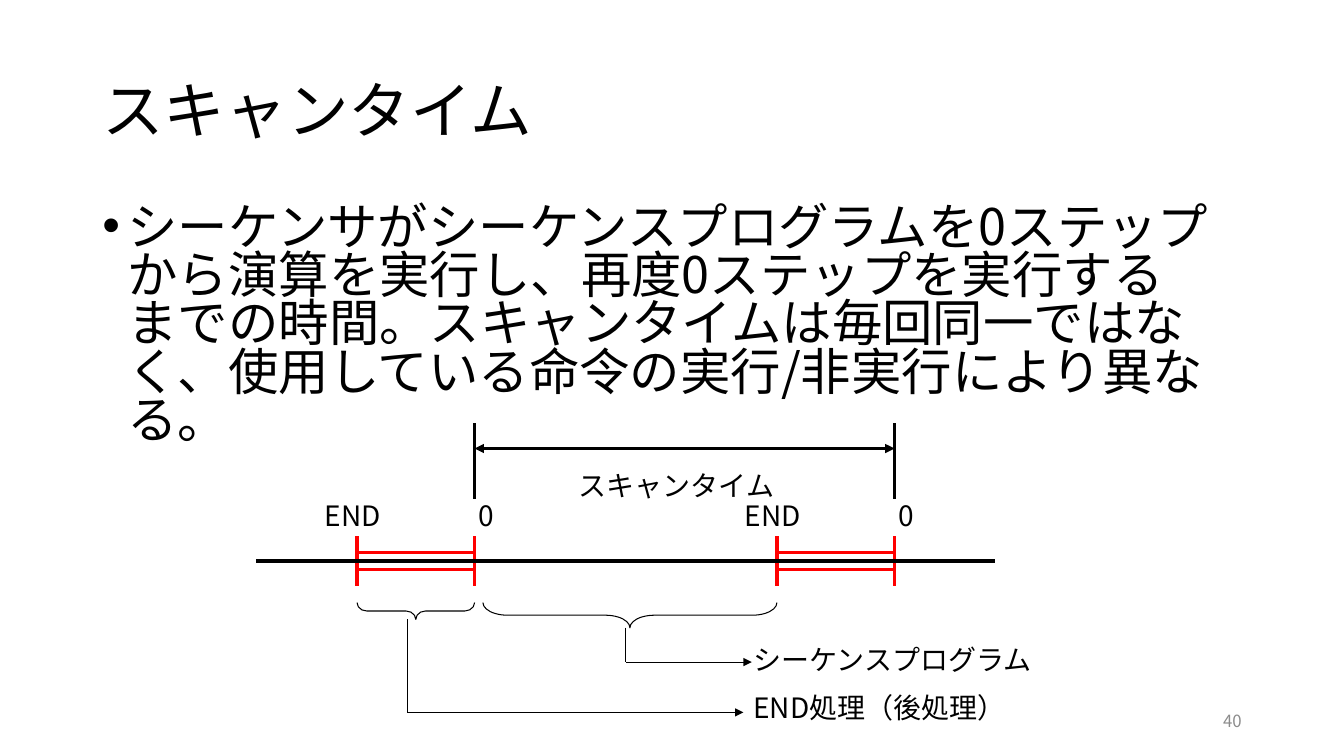
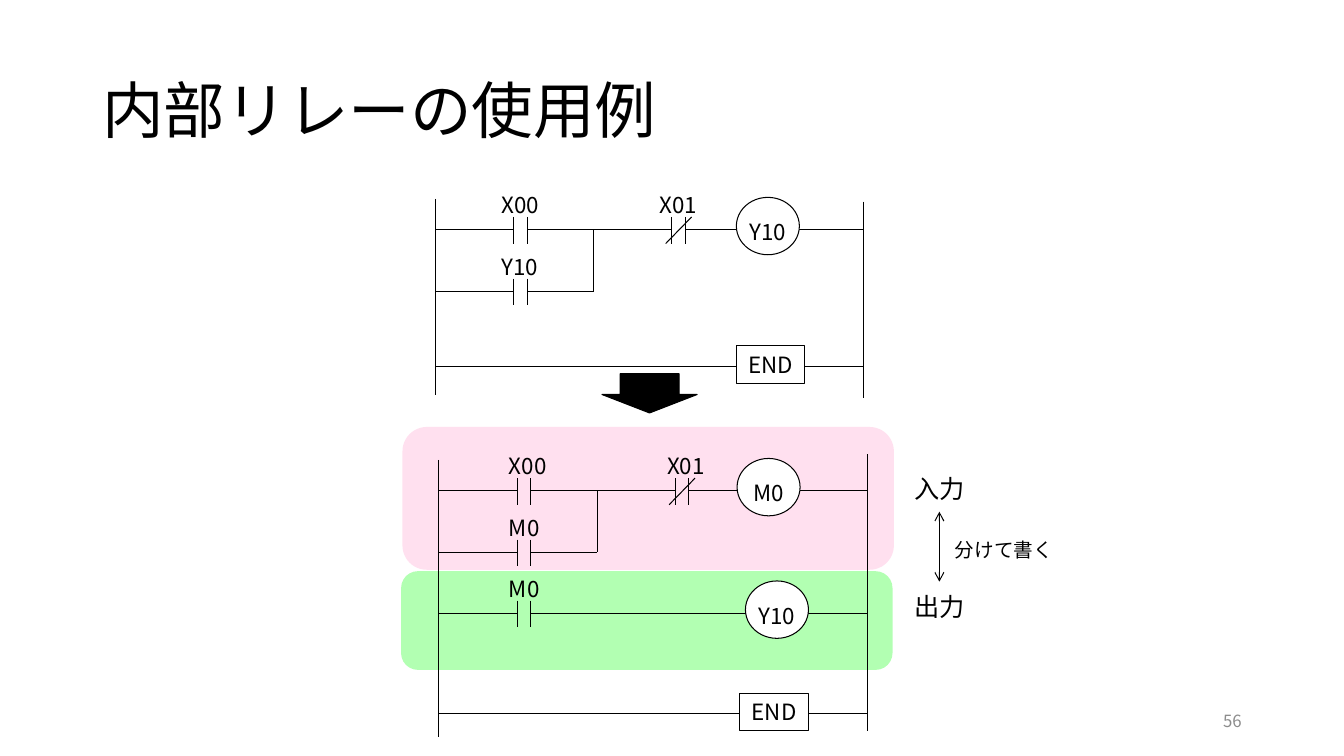
from lxml import etree
from pptx import Presentation
from pptx.dml.color import RGBColor
from pptx.enum.shapes import MSO_CONNECTOR, MSO_SHAPE
from pptx.enum.text import MSO_ANCHOR, PP_ALIGN
from pptx.oxml.ns import qn
from pptx.util import Pt

STRAIGHT = MSO_CONNECTOR.STRAIGHT
BRACE, OVAL, RECTANGLE = MSO_SHAPE.LEFT_BRACE, MSO_SHAPE.OVAL, MSO_SHAPE.RECTANGLE
ROUNDED, DOWN_ARROW = MSO_SHAPE.ROUNDED_RECTANGLE, MSO_SHAPE.DOWN_ARROW
TOP, MIDDLE = MSO_ANCHOR.TOP, MSO_ANCHOR.MIDDLE
LEFT, CENTER, RIGHT = PP_ALIGN.LEFT, PP_ALIGN.CENTER, PP_ALIGN.RIGHT

FONT = "Noto Sans CJK JP"
BLACK = RGBColor(0x00, 0x00, 0x00)
WHITE = RGBColor(0xFF, 0xFF, 0xFF)
RED = RGBColor(0xFF, 0x00, 0x00)
GRAY = RGBColor(0x8C, 0x8C, 0x8C)
PINK = RGBColor(0xFF, 0x99, 0xCC)
GREEN = RGBColor(0x00, 0xFF, 0x00)
THIN, MEDIUM, THICK = 0.75, 2.25, 3

# Ladder columns, measured from the left rail
CONTACT_X, JOIN_X, CLOSED_X, RAIL_X = 56, 113, 169, 306
CONTACT_GAP = 9.5


# Shared helpers
def write(paragraph, text, size, color=BLACK, align=LEFT):
    paragraph.alignment = align
    run = paragraph.add_run()
    run.text = text
    run.font.name = FONT
    run.font.size = Pt(size)
    run.font.color.rgb = color
    east_asian = etree.SubElement(run.font._element, qn("a:ea"))
    east_asian.set("typeface", FONT)


def add_text(slide, box, lines, size, color=BLACK, align=LEFT, anchor=TOP,
             gap=0, wrap=True):
    frame = slide.shapes.add_textbox(*map(Pt, box)).text_frame
    frame.word_wrap = wrap
    frame.vertical_anchor = anchor
    for index, line in enumerate(lines):
        paragraph = frame.add_paragraph() if index else frame.paragraphs[0]
        paragraph.space_before = Pt(gap if index else 0)
        write(paragraph, line, size, color, align)
    return frame


def add_line(slide, x1, y1, x2, y2, color=BLACK, width=THIN, head=None, tail=None):
    connector = slide.shapes.add_connector(STRAIGHT, Pt(x1), Pt(y1), Pt(x2), Pt(y2))
    connector.line.color.rgb = color
    connector.line.width = Pt(width)
    for tag, kind in (("a:headEnd", head), ("a:tailEnd", tail)):
        if kind:
            etree.SubElement(connector.line._get_or_add_ln(), qn(tag)).set("type", kind)
    etree.SubElement(connector._element.spPr, qn("a:effectLst"))


def add_shape(slide, kind, box, fill=None, outline=BLACK, opacity=None, adjustments=()):
    shape = slide.shapes.add_shape(kind, *map(Pt, box))
    shape.shadow.inherit = False
    if fill is None:
        shape.fill.background()
    else:
        shape.fill.solid()
        shape.fill.fore_color.rgb = fill
    if opacity is not None:
        color = shape._element.spPr.find(qn("a:solidFill"))[0]
        etree.SubElement(color, qn("a:alpha")).set("val", str(opacity * 1000))
    if outline is None:
        shape.line.fill.background()
    else:
        shape.line.color.rgb = outline
        shape.line.width = Pt(THIN)
    for index, value in enumerate(adjustments):
        shape.adjustments[index] = value
    return shape


def add_labelled_shape(slide, kind, box, label, top_inset=0):
    frame = add_shape(slide, kind, box, WHITE).text_frame
    frame.word_wrap = False
    frame.vertical_anchor = MIDDLE
    frame.margin_left = frame.margin_right = frame.margin_bottom = 0
    frame.margin_top = Pt(top_inset)
    write(frame.paragraphs[0], label, 16, align=CENTER)


def add_titled_slide(presentation, title, number):
    slide = presentation.slides.add_slide(presentation.slide_layouts[6])
    frame = add_text(slide, (66, 29, 828, 104), [title], 44, anchor=MIDDLE)
    frame.paragraphs[0].line_spacing = 0.9
    add_text(slide, (678, 500, 216, 29), [number], 12, GRAY, RIGHT, MIDDLE)
    return slide


# Scan time slide
def add_bullet(slide, box, text):
    paragraph = add_text(slide, box, [text], 36).paragraphs[0]
    paragraph.line_spacing = 0.8
    properties = paragraph._p.get_or_add_pPr()
    properties.set("marL", str(Pt(18)))
    properties.set("indent", str(-Pt(18)))
    etree.SubElement(properties, qn("a:buFont")).set("typeface", "Arial")
    etree.SubElement(properties, qn("a:buChar")).set("char", "•")


def add_brace(slide, left, top, width, height, curve):
    # The brace is drawn upright and turned about its centre
    box = (left + (width - height) / 2, top + (height - width) / 2, height, width)
    add_shape(slide, BRACE, box, adjustments=(curve, 0.5)).rotation = 270


def add_leader(slide, x, top, bottom, end):
    add_line(slide, x, top, x, bottom)
    add_line(slide, x, bottom, end, bottom, tail="triangle")


def add_end_processing(slide, start, top):
    zero = start + 84
    for x in (start, zero):
        add_line(slide, x, top + 80.5, x, top + 116.5, RED, MEDIUM)
    for y in (top + 92, top + 104.5):
        add_line(slide, start, y, zero, y, RED, MEDIUM)
    # Dimension boundary above step 0
    add_line(slide, zero, top, zero, top + 54, width=MEDIUM)
    add_text(slide, (start - 30, top + 50, 70, 31), ["END"], 20)
    add_text(slide, (zero - 4, top + 50, 40, 31), ["0"], 20)


def add_timeline(slide, left, top):
    first_end, cycle = left + 72, 300
    zero = first_end + 84
    for start in (first_end, first_end + cycle):
        add_end_processing(slide, start, top)
    add_line(slide, left, top + 98.6, left + 528, top + 98.6, width=THICK)
    add_line(slide, zero, top + 18, zero + cycle, top + 18, width=MEDIUM,
             head="triangle", tail="triangle")
    add_text(slide, (left + 223, top + 29, 190, 31), ["スキャンタイム"], 20)
    # Braces and leaders to their names
    add_brace(slide, first_end, top + 128, 84, 12, 0.58)
    add_brace(slide, zero + 6, top + 128, 210, 18, 0.97)
    add_leader(slide, left + 264, top + 146, top + 170.5, left + 354)
    add_leader(slide, left + 108, top + 140, top + 206.5, left + 348)
    add_text(slide, (left + 348, top + 153, 246, 68),
             ["シーケンスプログラム", "END処理（後処理）"], 20, gap=10)


def build_scan_time(presentation):
    slide = add_titled_slide(presentation, "スキャンタイム", "40")
    add_bullet(slide, (66, 144, 808, 158),
               "シーケンサがシーケンスプログラムを0ステップから演算を実行し、"
               "再度0ステップを実行するまでの時間。スキャンタイムは毎回同一ではなく、"
               "使用している命令の実行/非実行により異なる。")
    add_timeline(slide, 183, 302.4)


# Internal relay slide
def add_contact(slide, x, y, label, label_shift, closed):
    for bar in (x, x + CONTACT_GAP):
        add_line(slide, bar, y - 9, bar, y + 10)
    if closed:
        add_line(slide, x + 14, y - 9, x - 4.5, y + 10)
    add_text(slide, (x + label_shift, y - 31, 47, 26), [label], 16, wrap=False)


def add_rung(slide, left, y, contacts, label_shift, length=RAIL_X):
    """Draw one rung; contacts are (offset, label, closed)."""
    start = left
    for offset, label, closed in contacts:
        x = left + offset
        add_line(slide, start, y, x, y)
        add_contact(slide, x, y, label, label_shift, closed)
        start = x + CONTACT_GAP
    add_line(slide, start, y, left + length, y)


def add_coil(slide, left, y, label):
    add_labelled_shape(slide, OVAL, (left, y - 23, 45, 41), label, top_inset=8)


def add_ladder(slide, left, top, height, right_shift, end_y, coil, coil_x, label_shift):
    # Rails
    right = left + RAIL_X
    add_line(slide, left, top, left, top + height)
    add_line(slide, right, top + right_shift, right, top + right_shift + height)
    # Self-holding rung and its branch
    rung, branch = top + 22, top + 66
    add_rung(slide, left, rung, [(CONTACT_X, "X00", False), (CLOSED_X, "X01", True)],
             label_shift)
    add_rung(slide, left, branch, [(CONTACT_X, coil, False)], label_shift, JOIN_X)
    add_line(slide, left + JOIN_X, rung, left + JOIN_X, branch)
    add_coil(slide, left + coil_x, rung, coil)
    # END rung
    add_rung(slide, left, top + end_y, [], label_shift)
    add_labelled_shape(slide, RECTANGLE, (left + 215, top + end_y - 15, 49, 27), "END")


def add_split_note(slide, left, top):
    add_text(slide, (left, top, 142, 29), ["入力"], 18)
    add_text(slide, (left, top + 84, 142, 29), ["出力"], 18)
    add_text(slide, (left + 29, top + 46, 142, 24), ["分けて書く"], 14)
    add_line(slide, left + 25, top + 31, left + 25, top + 81, head="arrow", tail="arrow")


def build_internal_relay(presentation):
    slide = add_titled_slide(presentation, "内部リレーの使用例", "56")
    add_ladder(slide, 311, 142, 140, 2, 120, "Y10", 215, -16)
    add_shape(slide, DOWN_ARROW, (430, 267, 68, 28), BLACK, adjustments=(0.62, 0.47))
    # Input and output bands behind the divided circuit
    for box, color in (((287.5, 305, 351, 102), PINK), ((286.5, 408, 351, 70.5), GREEN)):
        add_shape(slide, ROUNDED, box, color, None, 30, (0.17,))
    left, top, label_shift = 313.5, 328.5, -13
    add_ladder(slide, left, top, 198, -4, 181.5, "M0", 213, label_shift)
    output_y = top + 109.5
    add_rung(slide, left, output_y, [(CONTACT_X, "M0", False)], label_shift)
    add_coil(slide, left + 219, output_y, "Y10")
    add_split_note(slide, 646, 334.5)


def main():
    presentation = Presentation()
    presentation.slide_width = Pt(960)
    presentation.slide_height = Pt(540)
    build_scan_time(presentation)
    build_internal_relay(presentation)
    presentation.save("out.pptx")


if __name__ == "__main__":
    main()
